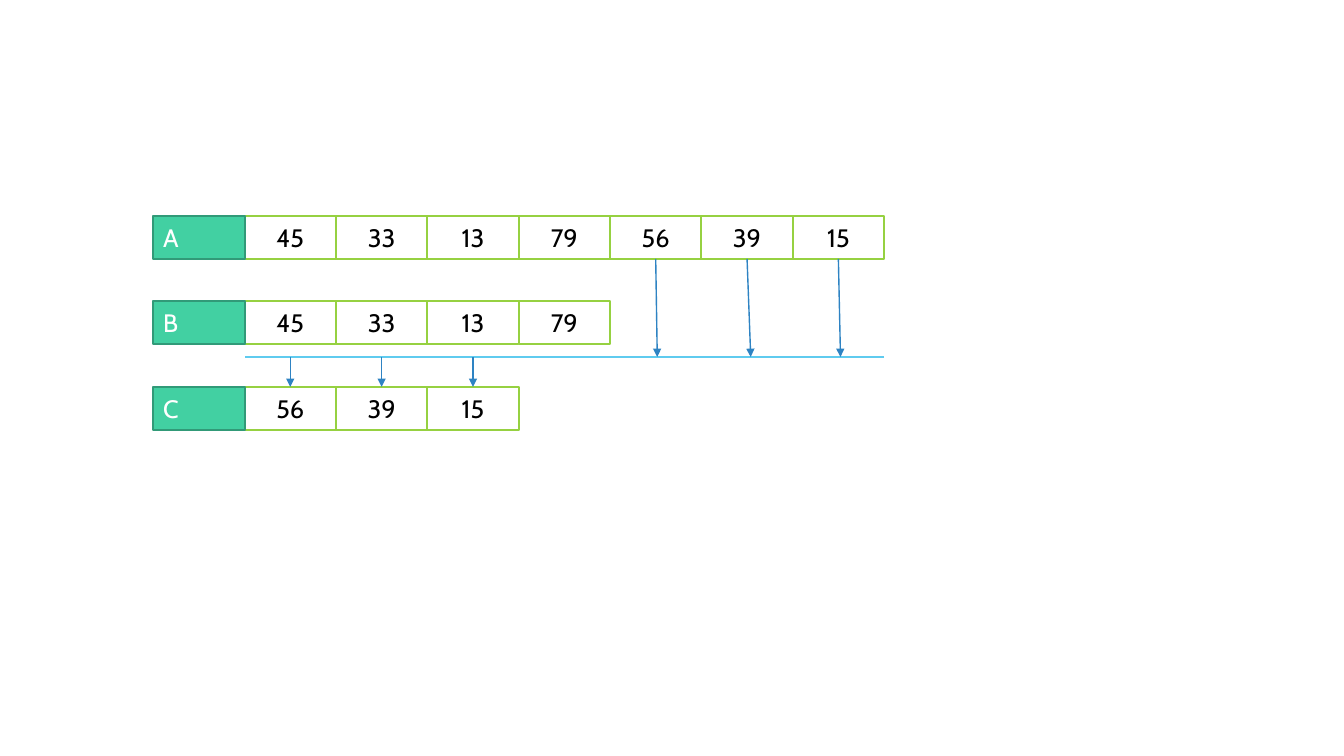
from lxml.etree import SubElement
from pptx import Presentation
from pptx.dml.color import RGBColor
from pptx.enum.shapes import MSO_CONNECTOR as Connector, MSO_SHAPE as Shape
from pptx.enum.text import MSO_ANCHOR as Anchor, PP_ALIGN as Align
from pptx.oxml.ns import qn
from pptx.util import Emu, Pt

PX_PER_INCH = 192
COLORS = {
    "white": "FFFFFF",
    "black": "000000",
    "cell_line": "96D141",
    "label_fill": "42D0A2",
    "label_line": "319A78",
    "divider": "5FCBEF",
    "arrow": "2E83C3",
}
LEFT, CELL_WIDTH, CELL_HEIGHT = 292, 174, 82
ROW_TOP, ROW_STEP = 411, 163
DIVIDER_Y = 680
ROWS = {
    "A": [45, 33, 13, 79, 56, 39, 15],
    "B": [45, 33, 13, 79],
    "C": [56, 39, 15],
}
DROP_ENDS = [1252, 1430, 1601]


def px(length):
    """Turn a length in px into EMU."""
    return Emu(round(length * 914400 / PX_PER_INCH))


def color(name):
    """Return the named colour."""
    return RGBColor.from_string(COLORS[name])


def write_text(shape, text, *, font_color, align, size=18, font="Cabin"):
    """Write one formatted paragraph into a shape."""
    frame = shape.text_frame
    frame.word_wrap = True
    frame.vertical_anchor = Anchor.MIDDLE
    paragraph = frame.paragraphs[0]
    paragraph.alignment = align
    run = paragraph.add_run()
    run.text = text
    run.font.name = font
    run.font.size = Pt(size)
    run.font.color.rgb = color(font_color)


def add_cell(slide, column, top, text, *, fill, line, font_color, align):
    """Add one box of an array row."""
    shape = slide.shapes.add_shape(
        Shape.RECTANGLE, px(LEFT + column * CELL_WIDTH), px(top),
        px(CELL_WIDTH), px(CELL_HEIGHT))
    shape.shadow.inherit = False
    shape.fill.solid()
    shape.fill.fore_color.rgb = color(fill)
    shape.line.color.rgb = color(line)
    shape.line.width = Pt(1.5)
    write_text(shape, text, font_color=font_color, align=align)
    return shape


def add_row(slide, top, name, values):
    """Add a labelled array row and return its value cells."""
    cells = [
        add_cell(slide, column, top, str(value), fill="white", line="cell_line",
                 font_color="black", align=Align.CENTER)
        for column, value in enumerate(values, 1)
    ]
    add_cell(slide, 0, top, name, fill="label_fill", line="label_line",
             font_color="white", align=Align.LEFT)
    return cells


def add_line(slide, start, end, line_color, arrow=False):
    """Add a straight line between two points, with an optional arrowhead."""
    connector = slide.shapes.add_connector(
        Connector.STRAIGHT, *map(px, start), *map(px, end))
    connector.line.color.rgb = color(line_color)
    connector.line.width = Pt(1)
    if arrow:
        SubElement(connector.line._get_or_add_ln(), qn("a:tailEnd"), type="triangle")
    SubElement(connector._element.spPr, qn("a:effectLst"))
    return connector


def column_center(column):
    """Return the horizontal middle of a column."""
    return LEFT + column * CELL_WIDTH + CELL_WIDTH // 2


def main():
    """Build the slide of an array split in two."""
    presentation = Presentation()
    presentation.slide_width = px(2560)
    presentation.slide_height = px(1440)
    slide = presentation.slides.add_slide(presentation.slide_layouts[6])

    cells = {
        name: add_row(slide, ROW_TOP + index * ROW_STEP, name, values)
        for index, (name, values) in enumerate(ROWS.items())
    }
    right = LEFT + (len(ROWS["A"]) + 1) * CELL_WIDTH
    add_line(slide, (right, DIVIDER_Y), (LEFT + CELL_WIDTH, DIVIDER_Y), "divider")

    first_moved = len(ROWS["B"])
    for column, (cell, end_x) in enumerate(
            zip(cells["A"][first_moved:], DROP_ENDS), first_moved + 1):
        start = (column_center(column), ROW_TOP + CELL_HEIGHT)
        arrow = add_line(slide, start, (end_x, DIVIDER_Y), "arrow", arrow=True)
        arrow.begin_connect(cell, 2)

    for column, cell in enumerate(cells["C"], 1):
        x = column_center(column)
        arrow = add_line(slide, (x, DIVIDER_Y), (x, ROW_TOP + 2 * ROW_STEP),
                         "arrow", arrow=True)
        arrow.end_connect(cell, 0)

    presentation.save("out.pptx")


if __name__ == "__main__":
    main()
